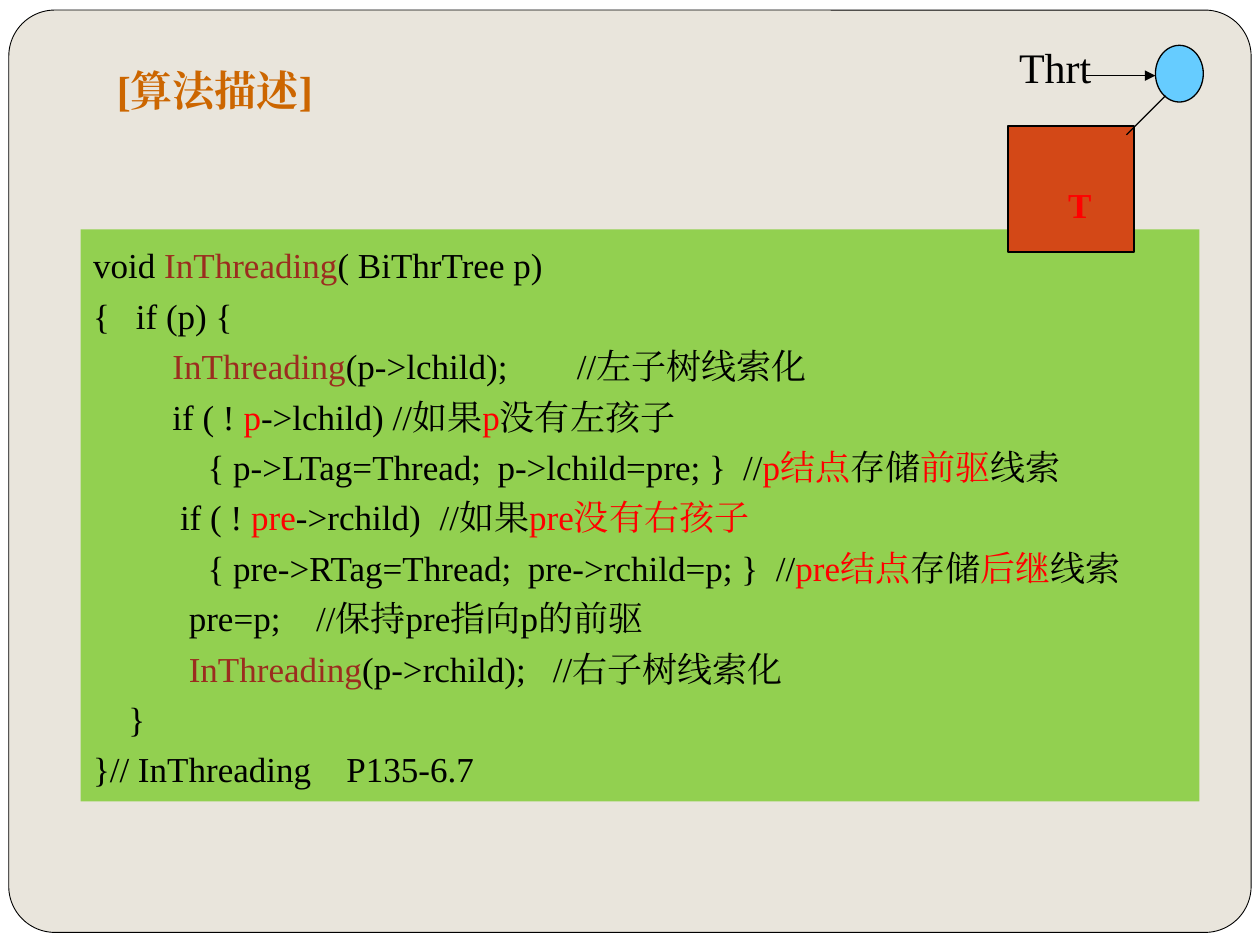
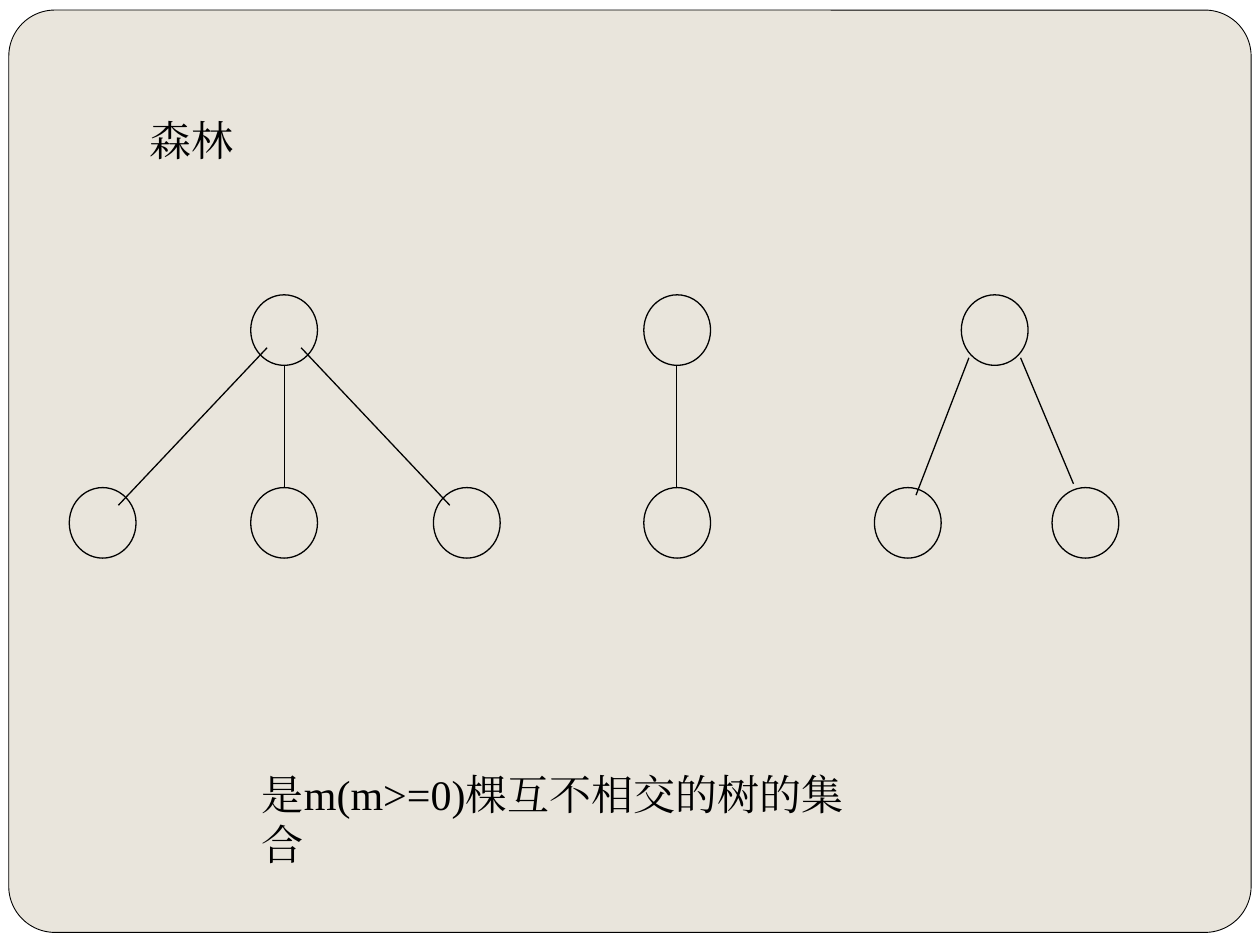
from pptx import Presentation
from pptx.dml.color import RGBColor as Rgb
from pptx.enum.shapes import MSO_CONNECTOR as Conn, MSO_SHAPE as Geo
from pptx.enum.text import MSO_ANCHOR as Anchor
from pptx.oxml.ns import qn
from pptx.util import Inches, Pt
from lxml.etree import SubElement as sub

HUES = dict(ink="000000", white="FFFFFF", sand="E9E5DC", lime="92D050", name="9B2D1F",
            red="FF0000", gold="CC6600", sky="66CCFF", rust="D34817")
FONT = "Times New Roman"
NODE = (0.53, 0.56)

CODE = [
    ((), [("void ", "ink"), ("InThreading", "name"), ("( BiThrTree p)", "ink")]),
    ((0.34,), [("{\tif (p) {", "ink")]),
    ((0.63, 3.84), [("\t", "ink"), ("InThreading", "name"),
                    ("(p->lchild);\t//左子树线索化", "ink")]),
    ((0.63,), [("\tif ( ! ", "ink"), ("p", "red"), ("->lchild) //如果", "ink"),
               ("p", "red"), ("没有左孩子", "ink")]),
    ((0.91, 3.21, 5.16), [("\t{ p->LTag=Thread;\tp->lchild=pre; }\t//", "ink"),
                          ("p结点", "red"), ("存储", "ink"), ("前驱", "red"),
                          ("线索", "ink")]),
    ((0.69, 2.75), [("\tif ( ! ", "ink"), ("pre", "red"), ("->rchild)\t//如果", "ink"),
                    ("pre没有右孩子", "red")]),
    ((0.91, 3.45, 5.42), [("\t{ pre->RTag=Thread;\tpre->rchild=p; }\t//", "ink"),
                          ("pre结点", "red"), ("存储", "ink"), ("后继", "red"),
                          ("线索", "ink")]),
    ((0.76, 1.77), [("\tpre=p;\t//保持pre指向p的前驱", "ink")]),
    ((0.76, 3.65), [("\t", "ink"), ("InThreading", "name"),
                    ("(p->rchild);\t//右子树线索化", "ink")]),
    ((0.28,), [("\t}", "ink")]),
    ((2.01,), [("}// InThreading\tP135-6.7", "ink")]),
]

BLOB = [(0.82, 0.05),
        (0.79, 0), (0.56, 0.05), (0.43, 0.17),
        (0.3, 0.3), (0, 0.69), (0.03, 0.82),
        (0.07, 0.95), (0.53, 1.02), (0.63, 0.95),
        (0.73, 0.89), (0.56, 0.58), (0.63, 0.43),
        (0.69, 0.28), (0.86, 0.09), (0.82, 0.05)]

TREES = [
    (0.55, 1.44, (0, 1.44, 2.89),
     [((1.71, 0.56), (1.71, 1.53)), ((1.57, 0.42), (0.39, 1.67)),
      ((1.84, 0.42), (3.02, 1.67))]),
    (5.11, 0, (0,), [((0.26, 0.56), (0.26, 1.53))]),
    (6.94, 0.69, (0, 1.41),
     [((0.75, 0.5), (0.33, 1.59)), ((1.16, 0.5), (1.58, 1.5))]),
]


def hue(key):
    """Give the colour called key."""
    return Rgb.from_string(HUES[key])


def paint(shape, fill, line=None, width=0.75):
    """Set fill and outline, and drop the shadow."""
    shape.shadow.inherit = False
    if fill:
        shape.fill.solid()
        shape.fill.fore_color.rgb = hue(fill)
    else:
        shape.fill.background()
    if line:
        shape.line.color.rgb = hue(line)
        shape.line.width = Pt(width)
    else:
        shape.line.fill.background()
    return shape


def form(slide, kind, box, fill, line=None, width=0.75):
    """Add a painted preset shape."""
    return paint(slide.shapes.add_shape(kind, *map(Inches, box)), fill, line, width)


def link(slide, start, end, arrow=False):
    """Draw a thin line, with an arrowhead if asked."""
    line = slide.shapes.add_connector(Conn.STRAIGHT, *map(Inches, (*start, *end)))
    line.line.color.rgb = hue("ink")
    line.line.width = Pt(0.75)
    if arrow:
        sub(line.line._get_or_add_ln(), qn("a:tailEnd"), type="triangle")
    sub(line._element.spPr, qn("a:effectLst"))


def write(para, text, size, key="ink", bold=False):
    """Add one styled run."""
    run = para.add_run()
    run.text = text
    font = run.font
    font.size, font.bold, font.name = Pt(size), bold, FONT
    font.color.rgb = hue(key)
    sub(run._r.get_or_add_rPr(), qn("a:ea"), typeface=FONT)


def label(slide, box, text, size=24, key="ink", bold=False, anchor=Anchor.TOP):
    """Add a text box of one run."""
    frame = slide.shapes.add_textbox(*map(Inches, box)).text_frame
    frame.word_wrap = True
    frame.vertical_anchor = anchor
    write(frame.paragraphs[0], text, size, key, bold)


def stage(deck):
    """Add a slide with the rounded sand panel."""
    slide = deck.slides.add_slide(deck.slide_layouts[6])
    back = slide.background.fill
    back.solid()
    back.fore_color.rgb = hue("white")
    panel = form(slide, Geo.ROUNDED_RECTANGLE, (0.07, 0.08, 9.86, 7.32), "sand", "ink", 0.5)
    panel.adjustments[0] = 0.05
    return slide


def listing(slide, box):
    """Set the code on its green panel."""
    frame = form(slide, Geo.RECTANGLE, box, "lime").text_frame
    frame.word_wrap = True
    frame.vertical_anchor = Anchor.TOP
    for row, (stops, runs) in enumerate(CODE):
        para = frame.add_paragraph() if row else frame.paragraphs[0]
        para.line_spacing = 1.2
        props = para._p.get_or_add_pPr()
        props.set("algn", "l")
        if stops:
            tabs = sub(props, qn("a:tabLst"))
            for stop in stops:
                sub(tabs, qn("a:tab"), pos=str(Inches(stop)), algn="l")
        for text, key in runs:
            write(para, text, 20, key)


def curve(knots, steps=12):
    """Trace a chain of cubic curves as points."""
    dots = []
    for k in range(0, len(knots) - 1, 3):
        for n in range(1, steps + 1):
            t = n / steps
            parts = ((1 - t) ** 3, 3 * t * (1 - t) ** 2, 3 * t * t * (1 - t), t ** 3)
            dots.append(tuple(sum(w * knot[axis] for w, knot in zip(parts, knots[k:k + 4]))
                              for axis in (0, 1)))
    return dots


def sketch(slide, left, top):
    """Draw the head node and the tree under it."""
    def at(x, y):
        """Shift a point into the sketch."""
        return left + x, top + y

    form(slide, Geo.OVAL, (*at(1.18, 0.08), 0.38, 0.45), "sky", "ink")
    dots = [at(x + 0.24, y + 0.79) for x, y in [BLOB[0], *curve(BLOB)]]
    pen = slide.shapes.build_freeform(*dots[0], scale=Inches(1))
    pen.add_line_segments(dots[1:], close=True)
    paint(pen.convert_to_shape(), "rust", "ink")
    label(slide, (*at(0.39, 1.13), 0.5, 0.44), "T", 20, "red", True)
    link(slide, at(1.26, 0.48), at(0.95, 0.79))
    link(slide, at(0.63, 0.32), at(1.18, 0.32), True)
    label(slide, (*at(0, 0), 0.87, 0.5), "Thrt")


def tree(slide, left, top, root, leaves, edges):
    """Draw a root, its row of leaves and the edges."""
    for x, y in [(root, 0), *((leaf, 1.53) for leaf in leaves)]:
        form(slide, Geo.OVAL, (left + x, top + y, *NODE), None, "ink")
    for edge in edges:
        link(slide, *((left + x, top + y) for x, y in edge))


def thread(deck):
    """Build the slide on threading."""
    slide = stage(deck)
    listing(slide, (0.64, 1.82, 8.88, 4.54))
    label(slide, (0.83, 0.42, 8.5, 0.58), "[算法描述]", 24, "gold", True, Anchor.MIDDLE)
    sketch(slide, 7.99, 0.28)


def forest(deck):
    """Build the slide on forests."""
    slide = stage(deck)
    label(slide, (1.09, 0.86, 1, 0.5), "森林")
    for left, root, leaves, edges in TREES:
        tree(slide, left, 2.34, root, leaves, edges)
    label(slide, (1.98, 6.05, 5.11, 0.5), "是m(m>=0)棵互不相交的树的集合")


def main():
    """Build and save the deck."""
    deck = Presentation()
    deck.slide_width, deck.slide_height = Inches(10), Inches(7.5)
    thread(deck)
    forest(deck)
    deck.save("out.pptx")


if __name__ == "__main__":
    main()
